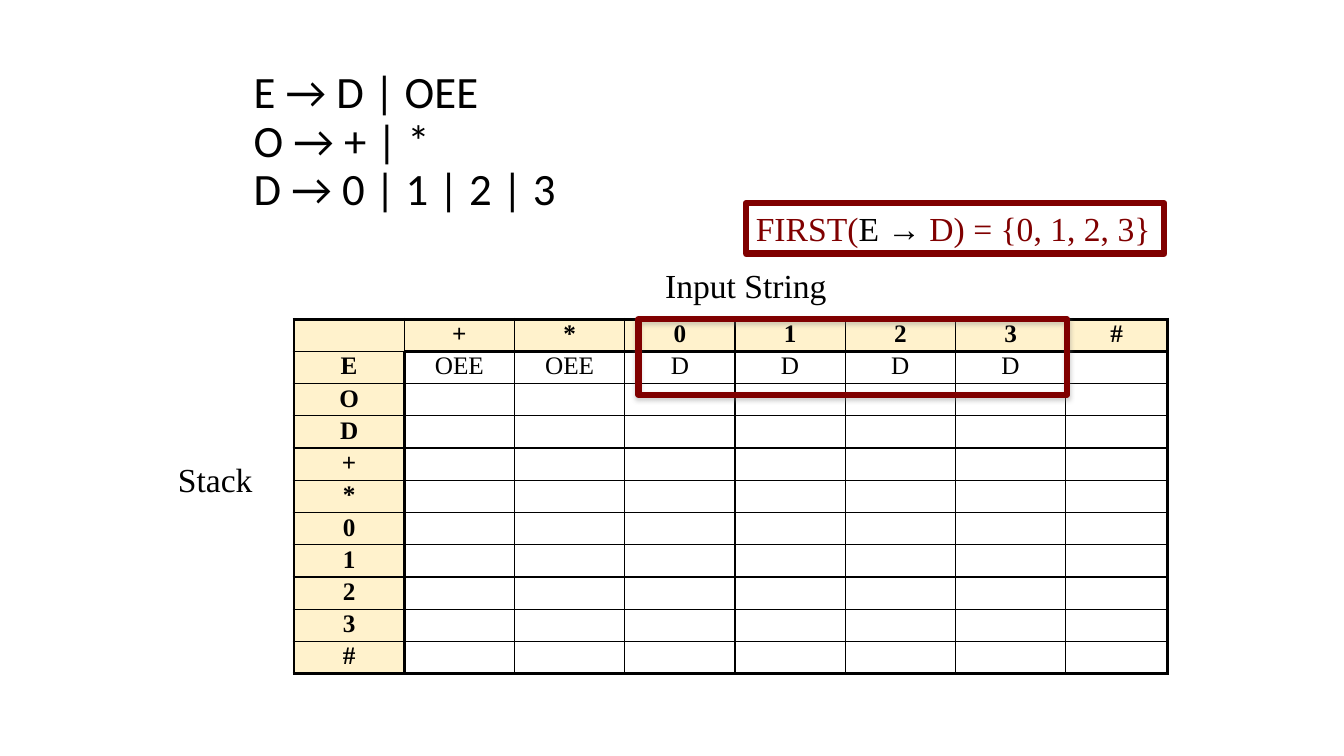
from lxml import etree
from pptx import Presentation
from pptx.dml.color import RGBColor
from pptx.enum.shapes import MSO_SHAPE
from pptx.enum.text import MSO_ANCHOR, MSO_AUTO_SIZE, PP_ALIGN
from pptx.oxml.ns import qn
from pptx.util import Inches, Pt

RECTANGLE = MSO_SHAPE.RECTANGLE
TOP, MIDDLE = MSO_ANCHOR.TOP, MSO_ANCHOR.MIDDLE
LEFT, CENTER = PP_ALIGN.LEFT, PP_ALIGN.CENTER
NO_FIT = MSO_AUTO_SIZE.NONE

# Content
GRAMMAR = "E → D | OEE\vO → + | *\vD → 0 | 1 | 2 | 3"
INPUT_SYMBOLS = ["+", "*", "0", "1", "2", "3", "#"]
STACK_SYMBOLS = ["E", "O", "D", "+", "*", "0", "1", "2", "3", "#"]
PRODUCTIONS = {"E": {"+": "OEE", "*": "OEE", "0": "D", "1": "D", "2": "D", "3": "D"}}
BLACK, MAROON, CREAM = "000000", "800000", "FFF2CC"
FIRST_SET = [("FIRST(", MAROON), ("E → ", BLACK), ("D) = {0, 1, 2, 3}", MAROON)]
SERIF = "Times New Roman"

# Places on a grid of 160 columns by 90 rows: left, top, width, height
COLUMNS, ROWS = 160, 90
CELL = Inches(1) / 12
GRAMMAR_PLACE = (29, 5, 56, 24)
TABLE_PLACE = (35, 38, 104, 42.24)
LAST_COLUMN = 12.12
AXIS_LABELS = {"Stack": (20, 54, 15, 6), "Input String": (78, 31, 26, 6)}
FIRST_PLACE = (88.8, 24.2, 49.8, 6)
HIGHLIGHT_PLACE = (76, 38, 51, 9)

CELL_FORMAT = {"margin_left": Inches(0.1), "margin_right": Inches(0.1),
               "margin_top": Inches(0.01), "margin_bottom": Inches(0.01)}
FRAME_FORMAT = {"word_wrap": True, "auto_size": NO_FIT, "vertical_anchor": TOP}


def on_grid(*lengths):
    return [round(length * CELL) for length in lengths]


def color(hex_string):
    return RGBColor.from_string(hex_string)


def apply(target, formats):
    for name, value in formats.items():
        setattr(target, name, value)


def style(run, size, face=SERIF, ink=BLACK, bold=False):
    apply(run.font, {"size": Pt(size), "name": face, "bold": bold})
    run.font.color.rgb = color(ink)


def add_element(parent, tag, **attributes):
    return etree.SubElement(parent, qn(tag), attributes)


def add_frame(place):
    frame = slide.shapes.add_shape(RECTANGLE, *on_grid(*place))
    frame.shadow.inherit = False
    frame.fill.background()
    frame.line.color.rgb = color(MAROON)
    frame.line.width = Pt(4.5)
    return frame


def add_borders(cell, row, column):
    last_row, last_column = len(STACK_SYMBOLS), len(INPUT_SYMBOLS)
    thick = {
        "a:lnL": column == 0 or (column == 1 and row > 0),
        "a:lnR": column == last_column or (column == 0 and row > 0),
        "a:lnT": row == 0 or (row == 1 and column > 0),
        "a:lnB": row == last_row or (row == 0 and column > 0),
    }
    properties = cell._tc.get_or_add_tcPr()
    for side, is_thick in thick.items():
        border = add_element(properties, side, w=str(Pt(2.25 if is_thick else 1)))
        add_element(add_element(border, "a:solidFill"), "a:srgbClr", val=BLACK)


presentation = Presentation()
presentation.slide_width, presentation.slide_height = on_grid(COLUMNS, ROWS)
slide = presentation.slides.add_slide(presentation.slide_layouts[5])

# Grammar in the title
grammar = slide.shapes.title
apply(grammar, dict(zip(("left", "top", "width", "height"), on_grid(*GRAMMAR_PLACE))))
apply(grammar.text_frame, {**FRAME_FORMAT, "vertical_anchor": MIDDLE})
grammar.text_frame.text = GRAMMAR
rules = grammar.text_frame.paragraphs[0]
apply(rules, {"alignment": LEFT, "line_spacing": 0.9})
for run in rules.runs:
    style(run, 32, "Calibri")

# Parse table
parse_rows = [["", *INPUT_SYMBOLS]] + [
    [top, *(PRODUCTIONS.get(top, {}).get(symbol, "") for symbol in INPUT_SYMBOLS)]
    for top in STACK_SYMBOLS]
table = slide.shapes.add_table(
    len(parse_rows), len(parse_rows[0]), *on_grid(*TABLE_PLACE)).table
symbol_column = (TABLE_PLACE[2] - LAST_COLUMN) / len(INPUT_SYMBOLS)
for index, column in enumerate(table.columns):
    is_last = index == len(INPUT_SYMBOLS)
    column.width, = on_grid(LAST_COLUMN if is_last else symbol_column)
for r, entries in enumerate(parse_rows):
    table.rows[r].height, = on_grid(TABLE_PLACE[3] / len(parse_rows))
    for c, entry in enumerate(entries):
        cell = table.cell(r, c)
        is_header = r == 0 or c == 0
        apply(cell, CELL_FORMAT)
        add_borders(cell, r, c)
        if is_header:
            cell.fill.solid()
            cell.fill.fore_color.rgb = color(CREAM)
        else:
            cell.fill.background()
        paragraph = cell.text_frame.paragraphs[0]
        paragraph.alignment = CENTER
        if entry:
            run = paragraph.add_run()
            run.text = entry
            style(run, 18, bold=is_header)
        else:
            # Small empty text keeps the row at its set height
            add_element(paragraph._p, "a:endParaRPr", sz="1400")

# Axis labels
for label, place in AXIS_LABELS.items():
    label_frame = slide.shapes.add_textbox(*on_grid(*place)).text_frame
    apply(label_frame, FRAME_FORMAT)
    label_frame.text = label
    style(label_frame.paragraphs[0].runs[0], 24)

# FIRST set
first_frame = add_frame(FIRST_PLACE).text_frame
apply(first_frame, {**FRAME_FORMAT, "word_wrap": False})
first_line = first_frame.paragraphs[0]
first_line.alignment = LEFT
for part, ink in FIRST_SET:
    run = first_line.add_run()
    run.text = part
    style(run, 24, ink=ink)

# Highlight around the filled entries, with a soft shadow
highlight = add_frame(HIGHLIGHT_PLACE)
effects = highlight._element.spPr.find(qn("a:effectLst"))
shadow = add_element(effects, "a:outerShdw", blurRad=str(Pt(3.1)), dist=str(Pt(1.8)),
                     dir="5400000", rotWithShape="0")
shade = add_element(shadow, "a:srgbClr", val="808080")
add_element(shade, "a:alpha", val="35000")

presentation.save("out.pptx")
